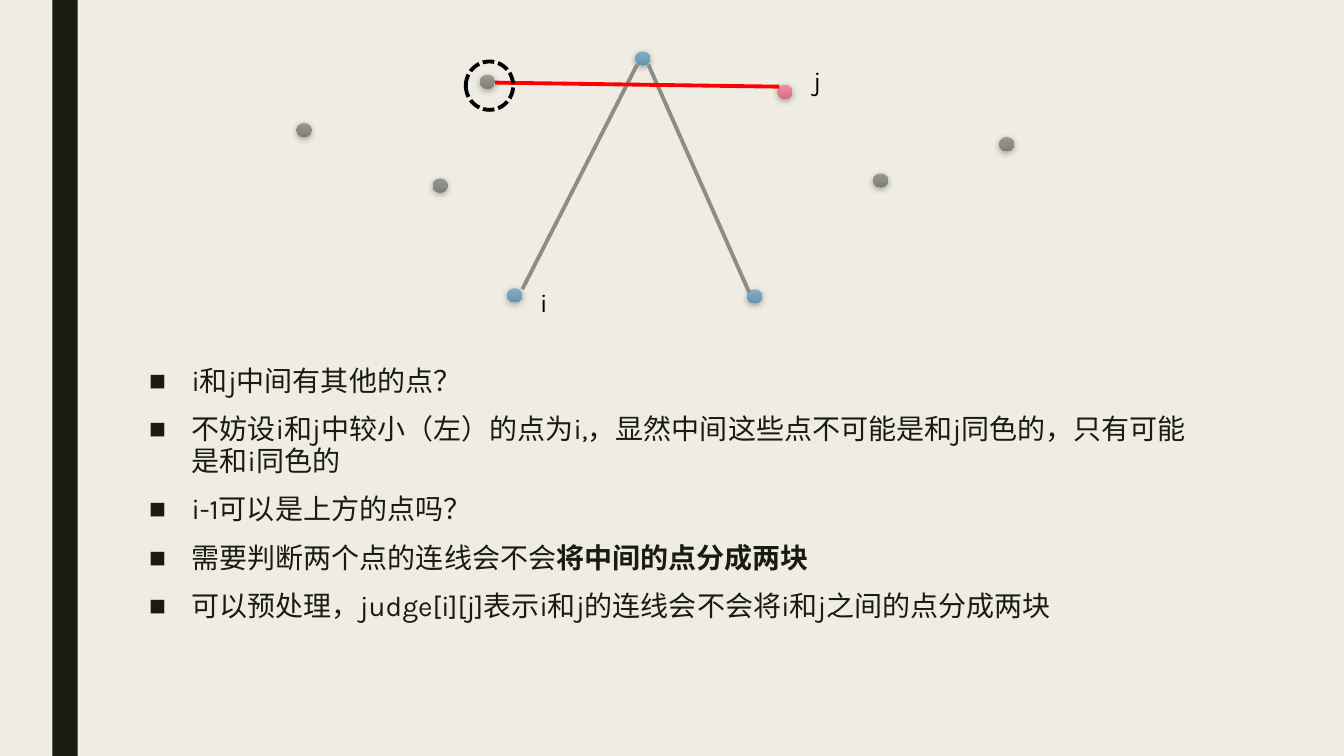
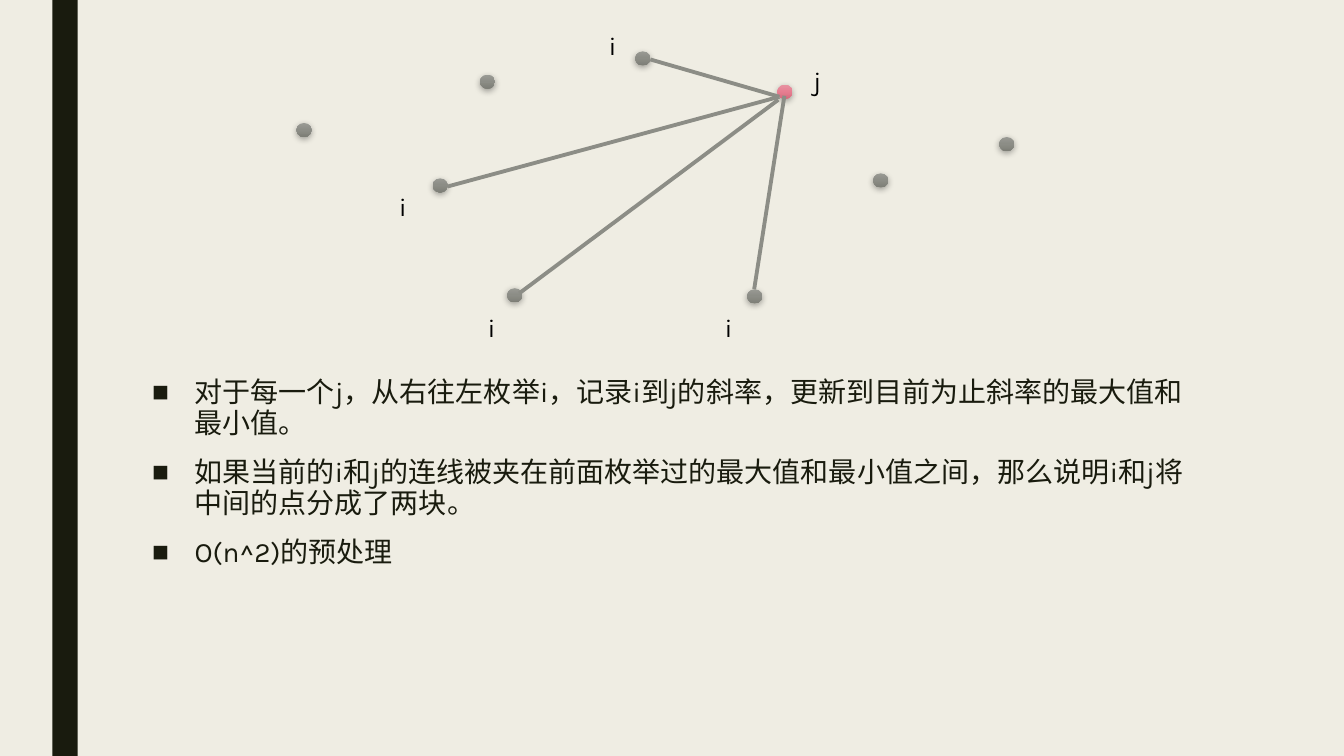
from dataclasses import dataclass
from typing import Any

from lxml.etree import SubElement
from pptx import Presentation
from pptx.dml.color import RGBColor
from pptx.enum.dml import MSO_LINE
from pptx.enum.shapes import MSO_CONNECTOR as CONN, MSO_SHAPE as SHAPE
from pptx.enum.text import MSO_ANCHOR as ANCHOR, MSO_AUTO_SIZE as FIT
from pptx.oxml import parse_xml
from pptx.oxml.ns import nsdecls, qn
from pptx.util import Emu, Pt

PX = 9144
FONT = "Karla"
DARK, PAPER, BLACK, GREY, RED = "191B0E", "EFEDE3", "000000", "8C8D86", "FF0000"
GRADIENTS = {
    "grey": ("999A94", GREY, "7D7E76"),
    "pink": ("E793A2", "E77E91", "D36B7D"),
    "blue": ("88ADC3", "74A3BE", "6392AD"),
}
DOT_W, DOT_H = 15, 14
DOTS = {
    "far_left": (294, 122), "upper_left": (476, 74), "top": (630, 51),
    "j": (771, 84), "far_right": (991, 136), "left": (429, 177),
    "bottom_right": (741, 287), "right": (866, 172), "bottom_left": (503, 286),
}
INDENT = 42
BULLET_FORMAT = {"line_spacing": 0.94, "space_before": Pt(10), "space_after": Pt(2)}
BODY_FORMAT = {"word_wrap": True, "auto_size": FIT.NONE, "vertical_anchor": ANCHOR.TOP}
LABEL_FORMAT = {"word_wrap": False, "auto_size": FIT.SHAPE_TO_FIT_TEXT}


@dataclass(frozen=True)
class Label:
    text: str
    x: int
    y: int


@dataclass(frozen=True)
class Edge:
    x1: int
    y1: int
    x2: int
    y2: int
    color: str = GREY


@dataclass(frozen=True)
class Bullet:
    text: str
    bold: str = ""


@dataclass(frozen=True)
class Page:
    body: tuple[int, int, int, int]
    bullets: list[Bullet]
    colors: dict[str, str]
    labels: list[Label]
    edges: list[Edge]


LABEL_J = Label("j", 797, 60)
PAGES = [
    Page(
        (138, 358, 1050, 306),
        [
            Bullet("i和j中间有其他的点？"),
            Bullet("不妨设i和j中较小（左）的点为i,，显然中间这些点不可能是和j同色的，只有可能是和i同色的"),
            Bullet("i-1可以是上方的点吗？"),
            Bullet("需要判断两个点的连线会不会", "将中间的点分成两块"),
            Bullet("可以预处理，judge[i][j]表示i和j的连线会不会将i和j之间的点分成两块"),
        ],
        {"j": "pink", "top": "blue", "bottom_left": "blue", "bottom_right": "blue"},
        [Label("i", 526, 280), LABEL_J],
        [Edge(518, 287, 632, 64), Edge(643, 64, 743, 290), Edge(491, 82, 773, 86, RED)],
    ),
    Page(
        (141, 369, 1050, 262),
        [
            Bullet("对于每一个j，从右往左枚举i，记录i到j的斜率，更新到目前为止斜率的最大值和最小值。"),
            Bullet("如果当前的i和j的连线被夹在前面枚举过的最大值和最小值之间，那么说明i和j将中间的点分成了两块。"),
            Bullet("O(n^2)的预处理"),
        ],
        {"j": "pink"},
        [LABEL_J, Label("i", 709, 305), Label("i", 474, 305),
         Label("i", 386, 185), Label("i", 594, 25)],
        [Edge(748, 287, 778, 95), Edge(515, 291, 772, 99),
         Edge(645, 59, 773, 96), Edge(444, 185, 773, 96)],
    ),
]


def px(*values: int) -> list[Emu]:
    return [Emu(v * PX) for v in values]


def rgb(color: str) -> RGBColor:
    return RGBColor.from_string(color)


def apply(target: Any, values: dict[str, Any]) -> None:
    for name, value in values.items():
        setattr(target, name, value)


def add_run(p: Any, text: str, size: int, color: str, bold: bool = False) -> None:
    r = p.add_run()
    r.text = text
    apply(r.font, {"name": FONT, "size": Pt(size), "bold": bold})
    r.font.color.rgb = rgb(color)


def style_line(line: Any, color: str) -> None:
    line.color.rgb = rgb(color)
    line.width = Pt(2.75)


def setup_master(prs: Any, s: Any) -> None:
    master = prs.slide_master
    master.background.fill.solid()
    master.background.fill.fore_color.rgb = rgb(PAPER)
    band = s.shapes.add_shape(SHAPE.RECTANGLE, *px(52, 0, 25, 750))
    band.shadow.inherit = False
    band.fill.solid()
    band.fill.fore_color.rgb = rgb(DARK)
    band.line.fill.background()
    master.shapes.element.insert(2, band.element)


def add_dot(s: Any, x: int, y: int, tone: str) -> None:
    sp = s.shapes.add_shape(SHAPE.OVAL, *px(x, y, DOT_W, DOT_H))
    stops = "".join(
        f'<a:gs pos="{i * 50000}"><a:srgbClr val="{color}"/></a:gs>'
        for i, color in enumerate(GRADIENTS[tone])
    )
    sp_pr = sp.element.spPr
    sp_pr.append(parse_xml(
        f'<a:gradFill {nsdecls("a")} rotWithShape="1"><a:gsLst>{stops}</a:gsLst>'
        '<a:lin ang="5400000" scaled="0"/></a:gradFill>'
    ))
    sp.line.fill.background()
    sp_pr.append(parse_xml(
        f'<a:effectLst {nsdecls("a")}><a:outerShdw blurRad="{Pt(4.5)}" dist="{Pt(1.5)}" '
        'dir="5400000" algn="ctr" rotWithShape="0"><a:srgbClr val="000000">'
        '<a:alpha val="35000"/></a:srgbClr></a:outerShdw></a:effectLst>'
    ))


def add_edge(s: Any, edge: Edge) -> None:
    line = s.shapes.add_connector(CONN.STRAIGHT, *px(edge.x1, edge.y1, edge.x2, edge.y2))
    style_line(line.line, edge.color)
    SubElement(line.element.spPr, qn("a:effectLst"))


def add_label(s: Any, label: Label) -> None:
    tf = s.shapes.add_textbox(*px(label.x, label.y, 26, 40)).text_frame
    apply(tf, LABEL_FORMAT)
    add_run(tf.paragraphs[0], label.text, 18, BLACK)


def add_ring(s: Any) -> None:
    ring = s.shapes.add_shape(SHAPE.OVAL, *px(462, 61, 47, 48))
    ring.shadow.inherit = False
    ring.fill.background()
    style_line(ring.line, BLACK)
    ring.line.dash_style = MSO_LINE.SQUARE_DOT


def fill_body(s: Any, page: Page) -> None:
    body = s.placeholders[1]
    apply(body, dict(zip(("left", "top", "width", "height"), px(*page.body))))
    tf = body.text_frame
    apply(tf, BODY_FORMAT)
    for i, bullet in enumerate(page.bullets):
        p = tf.add_paragraph() if i else tf.paragraphs[0]
        p_pr = p._p.get_or_add_pPr()
        p_pr.set("marL", str(INDENT * PX))
        p_pr.set("indent", str(-INDENT * PX))
        SubElement(p_pr, qn("a:buChar")).set("char", "■")
        apply(p, BULLET_FORMAT)
        if i == 0:
            p.space_before = Pt(0)
        add_run(p, bullet.text, 20, DARK)
        if bullet.bold:
            add_run(p, bullet.bold, 20, DARK, True)


def add_page(prs: Any, page: Page) -> Any:
    s = prs.slides.add_slide(prs.slide_layouts[1])
    title = s.shapes.title.element
    title.getparent().remove(title)
    fill_body(s, page)
    for name, (x, y) in DOTS.items():
        add_dot(s, x, y, page.colors.get(name, "grey"))
    for label in page.labels:
        add_label(s, label)
    for edge in page.edges:
        add_edge(s, edge)
    return s


def main() -> None:
    prs = Presentation()
    prs.slide_width, prs.slide_height = px(1333, 750)
    first, _ = [add_page(prs, page) for page in PAGES]
    add_ring(first)
    setup_master(prs, first)
    prs.save("out.pptx")


if __name__ == "__main__":
    main()
